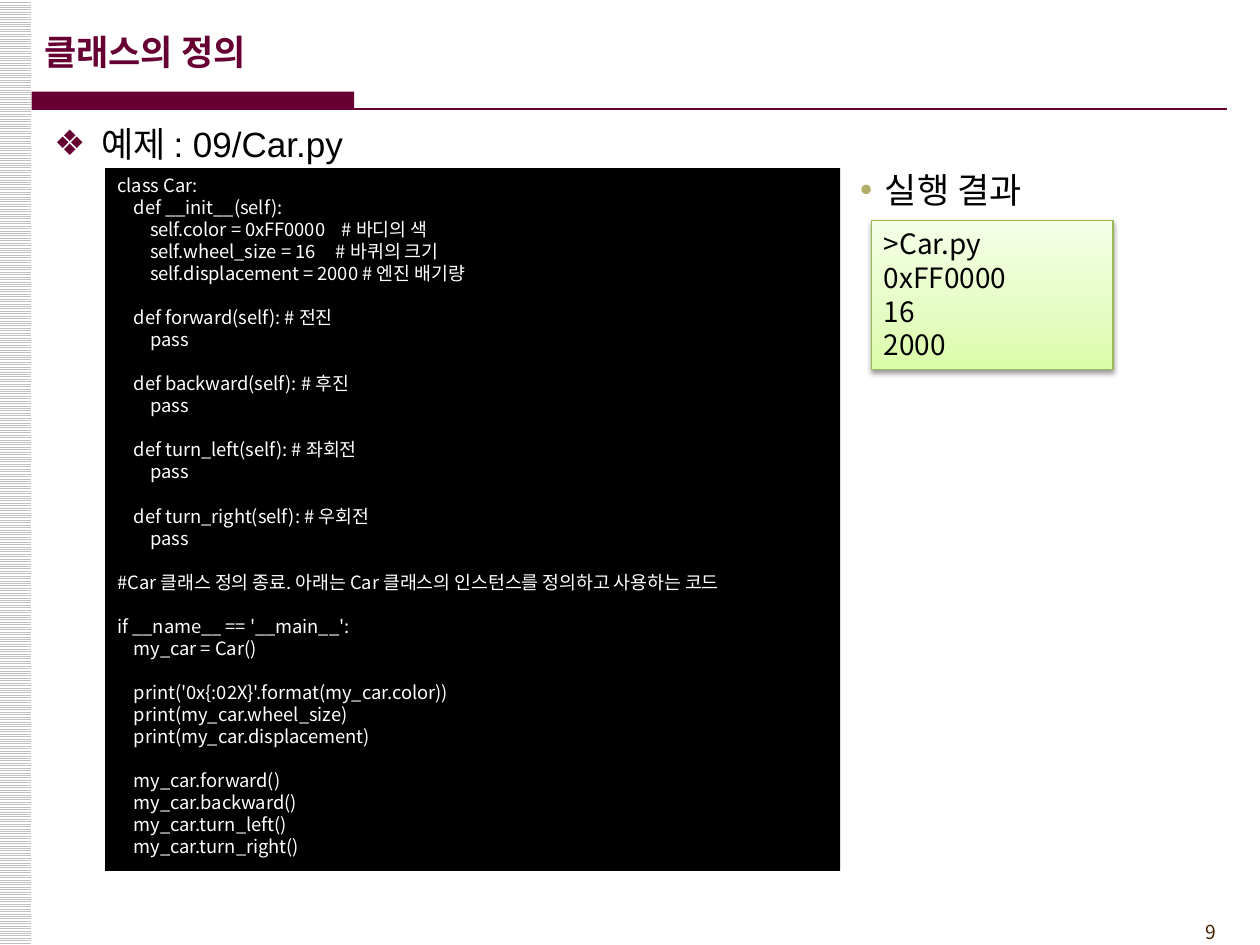
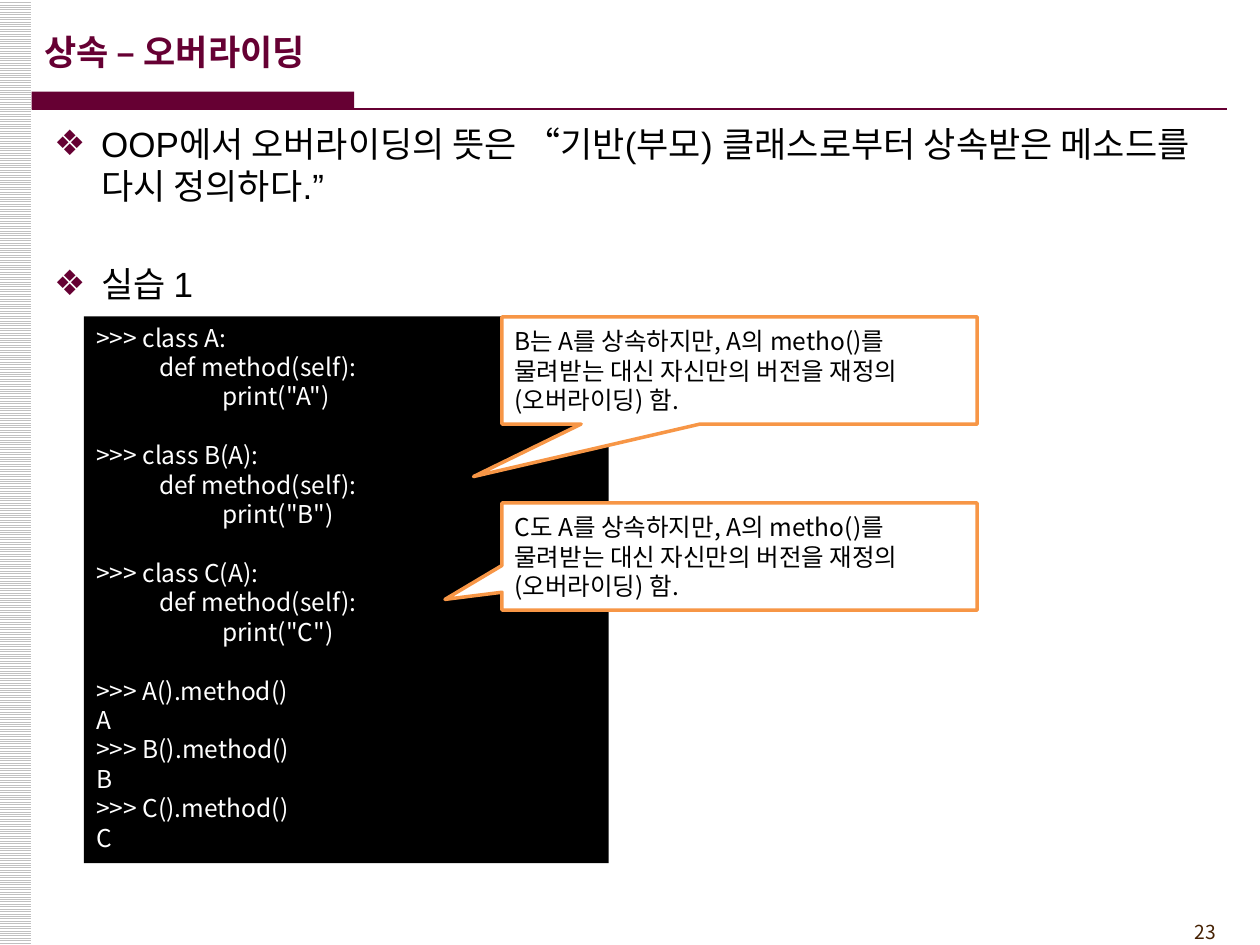
"""Build two lecture slides on Python classes and method overriding."""
from dataclasses import dataclass

from lxml import etree
from pptx import Presentation
from pptx.dml.color import RGBColor
from pptx.enum.dml import MSO_PATTERN
from pptx.enum.shapes import MSO_CONNECTOR, MSO_SHAPE
from pptx.enum.text import MSO_ANCHOR, PP_ALIGN
from pptx.oxml import parse_xml
from pptx.oxml.ns import nsdecls, qn
from pptx.util import Cm, Pt

RECT, CALLOUT = MSO_SHAPE.RECTANGLE, MSO_SHAPE.RECTANGULAR_CALLOUT
STRAIGHT = MSO_CONNECTOR.STRAIGHT
STRIPES = MSO_PATTERN.LIGHT_HORIZONTAL
TOP, MIDDLE = MSO_ANCHOR.TOP, MSO_ANCHOR.MIDDLE
LEFT, RIGHT = PP_ALIGN.LEFT, PP_ALIGN.RIGHT


@dataclass(frozen=True)
class Theme:
    accent: str = "660033"
    ink: str = "000000"
    paper: str = "FFFFFF"
    stripe: str = "C0C0C0"
    number: str = "452103"
    dot: str = "B1AE6B"
    callout: str = "F79646"
    result_line: str = "98B955"
    result_fill: tuple = ((0, "DAFDA7"), (35, "E4FCC2"), (100, "F5FFE7"))
    head_font: str = "Arial"
    font: str = "Noto Sans CJK KR"
    head_size: float = 20
    result_size: float = 16
    note_size: float = 14
    number_size: float = 11


T = Theme()

CAR_CODE = """\
class Car:
    def __init__(self):
        self.color = 0xFF0000    # 바디의 색
        self.wheel_size = 16     # 바퀴의 크기
        self.displacement = 2000 # 엔진 배기량

    def forward(self): # 전진
        pass

    def backward(self): # 후진
        pass

    def turn_left(self): # 좌회전
        pass

    def turn_right(self): # 우회전
        pass

#Car 클래스 정의 종료. 아래는 Car 클래스의 인스턴스를 정의하고 사용하는 코드

if __name__ == '__main__':
    my_car = Car()

    print('0x{:02X}'.format(my_car.color))
    print(my_car.wheel_size)
    print(my_car.displacement)

    my_car.forward()
    my_car.backward()
    my_car.turn_left()
    my_car.turn_right()"""

OVERRIDE_CODE = """\
>>> class A:
\tdef method(self):
\t\tprint("A")

>>> class B(A):
\tdef method(self):
\t\tprint("B")

>>> class C(A):
\tdef method(self):
\t\tprint("C")

>>> A().method()
A
>>> B().method()
B
>>> C().method()
C"""

NOTE = "{} A를 상속하지만, A의 metho()를 물려받는 대신 자신만의 버전을 재정의(오버라이딩) 함."

SLIDES = [
    {
        "title": "클래스의 정의",
        "number": "9",
        "bullets": ["예제 : 09/Car.py"],
        "code": (CAR_CODE, 10.5, (2.12, 3.39, 14.82, 14.17)),
        "result": ("실행 결과", ">Car.py\n0xFF0000\n16\n2000"),
        "notes": [],
    },
    {
        "title": "상속 – 오버라이딩",
        "number": "23",
        "bullets": [
            "OOP에서 오버라이딩의 뜻은 “기반(부모) 클래스로부터 상속받은 메소드를 다시 정의하다.”",
            "실습 1",
        ],
        "code": (OVERRIDE_CODE, 14, (1.69, 6.38, 10.58, 11.02)),
        "result": None,
        "notes": [("B는", 6.39, (-0.56, 0.99)), ("C도", 10.14, (-0.62, 0.4))],
    },
]


def rgb(value):
    return RGBColor.from_string(value)


def set_bullet(p, char, color, margin, hang):
    pPr = p._p.get_or_add_pPr()
    pPr.set("marL", str(Cm(margin)))
    pPr.set("indent", str(-Cm(hang)))
    clr = etree.SubElement(pPr, qn("a:buClr"))
    etree.SubElement(clr, qn("a:srgbClr")).set("val", color)
    etree.SubElement(pPr, qn("a:buFont")).set("typeface", T.head_font)
    etree.SubElement(pPr, qn("a:buChar")).set("char", char)


def write(sp, lines, size, color=T.ink, font=T.font, bold=False,
          align=LEFT, anchor=TOP, bullet=None):
    tf = sp.text_frame
    tf.word_wrap = True
    tf.vertical_anchor = anchor
    tf.text = "\n".join(lines)
    for p in tf.paragraphs:
        if bullet:
            set_bullet(p, *bullet)
        p.alignment = align
        for r in p.runs:
            r.font.size, r.font.bold, r.font.name = Pt(size), bold, font
            r.font.color.rgb = rgb(color)
            etree.SubElement(r.font._element, qn("a:ea")).set("typeface", T.font)
        if not p.runs:
            end = etree.SubElement(p._p, qn("a:endParaRPr"))
            end.set("sz", str(int(size * 100)))
            for tag in ("a:latin", "a:ea"):
                etree.SubElement(end, qn(tag)).set("typeface", font)
    return tf


def add_text(s, box, lines, size, **style):
    return write(s.shapes.add_textbox(*map(Cm, box)), lines, size, **style)


def add_box(s, kind, box, fill=None, line=None, width=0):
    sp = s.shapes.add_shape(kind, *map(Cm, box))
    sp.shadow.inherit = False
    if fill:
        sp.fill.solid()
        sp.fill.fore_color.rgb = rgb(fill)
    if line:
        sp.line.color.rgb = rgb(line)
        sp.line.width = Pt(width)
    else:
        sp.line.fill.background()
    return sp


def add_frame(s, title, number):
    stripe = add_box(s, RECT, (-0.02, 0, 0.65, 19.05))
    stripe.fill.patterned()
    stripe.fill.pattern = STRIPES
    stripe.fill.fore_color.rgb = rgb(T.stripe)
    stripe.fill.back_color.rgb = rgb(T.paper)
    add_text(s, (22.65, 18.42, 2.12, 0.74), [number], T.number_size,
             color=T.number, align=RIGHT)
    add_box(s, RECT, (0.64, 1.85, 6.5, 0.36), T.accent)
    rule = s.shapes.add_connector(STRAIGHT, Cm(0.64), Cm(2.2), Cm(24.74), Cm(2.2))
    rule.line.color.rgb = rgb(T.accent)
    rule.line.width = Pt(1.5)
    etree.SubElement(rule._element.spPr, qn("a:effectLst"))
    add_text(s, (0.64, 0.23, 21, 1.6), [title], T.head_size, color=T.accent,
             font=T.head_font, bold=True, anchor=MIDDLE)


def add_result(s, label, output):
    sp = add_box(s, RECT, (17.57, 4.45, 4.87, 3), line=T.result_line, width=0.75)
    stops = "".join(f'<a:gs pos="{pos * 1000}"><a:srgbClr val="{color}"/></a:gs>'
                    for pos, color in T.result_fill)
    spPr = sp._element.spPr
    spPr.insert(2, parse_xml(
        f'<a:gradFill {nsdecls("a")}><a:gsLst>{stops}</a:gsLst>'
        '<a:lin ang="16200000" scaled="0"/></a:gradFill>'))
    spPr.find(qn("a:effectLst")).append(parse_xml(
        f'<a:outerShdw {nsdecls("a")} blurRad="{Pt(3.1)}" dist="{Pt(1.6)}" '
        f'dir="5400000" rotWithShape="0"><a:srgbClr val="{T.ink}">'
        '<a:alpha val="38000"/></a:srgbClr></a:outerShdw>'))
    write(sp, output.splitlines(), T.result_size)
    tf = add_text(s, (16.09, 3.18, 6.15, 1.2), [label], T.head_size,
                  bullet=("•", T.dot, 1.5, 0.5))
    tf.paragraphs[0].line_spacing = 1.1


def build_slide(prs, data):
    s = prs.slides.add_slide(prs.slide_layouts[6])
    add_frame(s, data["title"], data["number"])
    tf = add_text(s, (0.84, 2.34, 24.13, 15.88), data["bullets"], T.head_size,
                  font=T.head_font, bullet=("❖", T.accent, 0.95, 0.95))
    for p in tf.paragraphs[1:]:
        p.space_before = Pt(32)
    code, size, box = data["code"]
    write(add_box(s, RECT, box, T.ink), code.splitlines(), size, color=T.paper)
    if data["result"]:
        add_result(s, *data["result"])
    for subject, top, tip in data["notes"]:
        sp = add_box(s, CALLOUT, (10.12, top, 9.58, 2.16), T.paper, T.callout, 2)
        sp.adjustments[0], sp.adjustments[1] = tip
        write(sp, [NOTE.format(subject)], T.note_size, anchor=MIDDLE)


def main():
    prs = Presentation()
    prs.slide_width, prs.slide_height = Cm(25.4), Cm(19.05)
    for data in SLIDES:
        build_slide(prs, data)
    prs.save("out.pptx")


if __name__ == "__main__":
    main()
